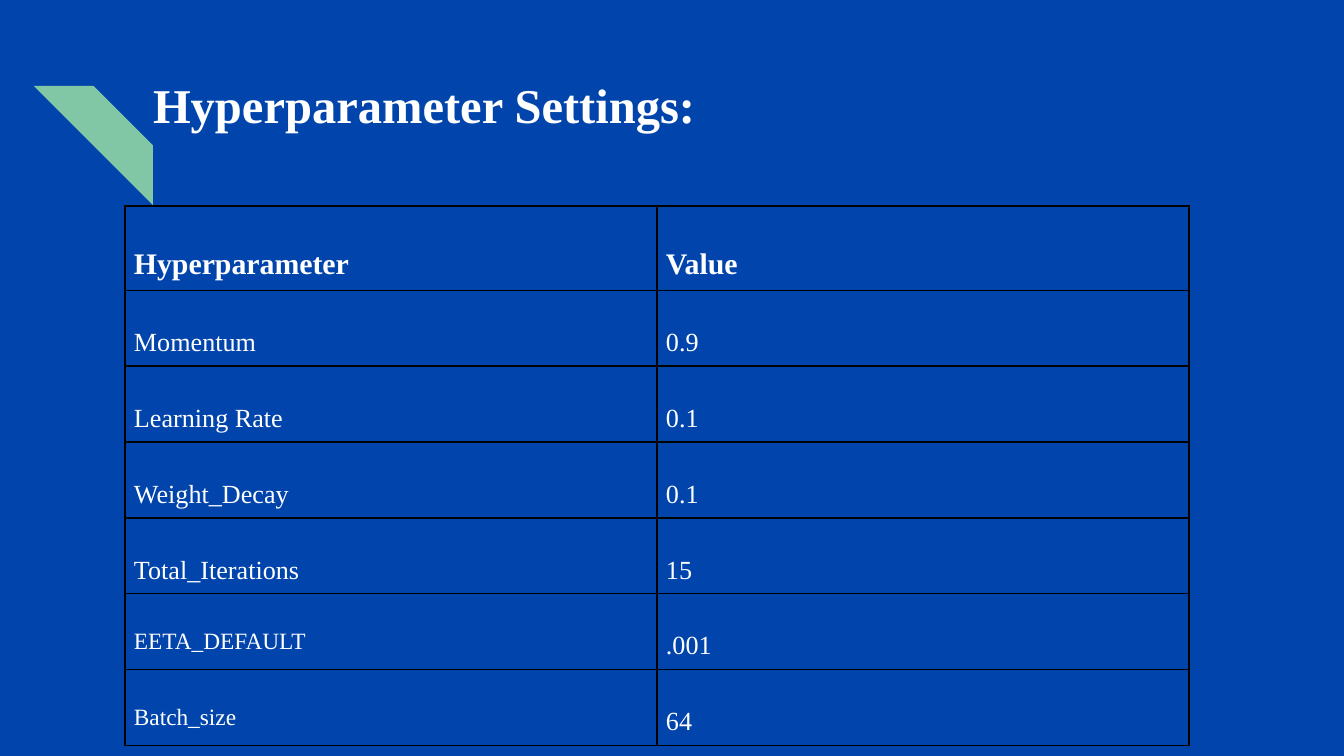
from dataclasses import dataclass

from lxml import etree
from pptx import Presentation
from pptx import util as u
from pptx.dml.color import RGBColor
from pptx.enum import shapes, text
from pptx.oxml.ns import qn

PX = u.Inches(10) / 1344


@dataclass(frozen=True)
class Theme:
    font: str = "Times New Roman"
    background: str = "0145AC"
    accent: str = "82C7A5"
    ink: str = "FFFFFF"
    border: str = "000000"
    title: float = 26
    header: float = 16
    body: float = 14
    small: float = 12.5


THEME = Theme()
SETTINGS = [
    ("Hyperparameter", "Value"),
    ("Momentum", "0.9"),
    ("Learning Rate", "0.1"),
    ("Weight_Decay", "0.1"),
    ("Total_Iterations", "15"),
    ("EETA_DEFAULT", ".001"),
    ("Batch_size", "64"),
]
SMALL_LABELS = {"EETA_DEFAULT", "Batch_size"}


def px(length):
    return u.Emu(round(length * PX))


def apply(target, values):
    for name, value in values.items():
        setattr(target, name, value)


def paint(fill, color):
    fill.solid()
    fill.fore_color.rgb = RGBColor.from_string(color)


def margins(size):
    sides = ("left", "top", "right", "bottom")
    return {f"margin_{side}": px(size) for side in sides}


def write(para, words, size, bold=False):
    span = para.add_run()
    span.text = words
    apply(span.font, {"name": THEME.font, "size": u.Pt(size), "bold": bold})
    span.font.color.rgb = RGBColor.from_string(THEME.ink)


def place(box, left, top, width, height):
    apply(box, {"left": px(left), "top": px(top),
                "width": px(width), "height": px(height)})


def add_title(page, words):
    title = page.shapes.title
    place(title, 140, 62, 1035, 134)
    frame = title.text_frame
    apply(frame, {"word_wrap": True, "vertical_anchor": text.MSO_ANCHOR.TOP,
                  "auto_size": text.MSO_AUTO_SIZE.NONE, **margins(13)})
    para = frame.paragraphs[0]
    para.alignment = text.PP_ALIGN.LEFT
    write(para, words, THEME.title, bold=True)


def add_stripe(page, left, top, side):
    stripe = page.shapes.add_shape(shapes.MSO_SHAPE.DIAGONAL_STRIPE,
                                   px(left), px(top), px(side), px(side))
    stripe.shadow.inherit = False
    stripe.adjustments[0] = 0.5
    stripe.element.spPr.xfrm.set("flipH", "1")
    paint(stripe.fill, THEME.accent)
    stripe.line.fill.background()


def add_borders(cell):
    properties = cell._tc.get_or_add_tcPr()
    for position, side in enumerate(("lnL", "lnR", "lnT", "lnB")):
        line = etree.Element(qn(f"a:{side}"), w=str(u.Pt(1)))
        fill = etree.SubElement(line, qn("a:solidFill"))
        etree.SubElement(fill, qn("a:srgbClr"), val=THEME.border)
        properties.insert(position, line)


def fill_cell(cell, words, size, bold):
    apply(cell, margins(9))
    cell.fill.background()
    add_borders(cell)
    para = cell.text_frame.paragraphs[0]
    para.line_spacing = 2.0
    write(para, words, size, bold)


def add_settings(page, left, top, column_width, row_height):
    rows, columns = len(SETTINGS), len(SETTINGS[0])
    table = page.shapes.add_table(
        rows, columns, px(left), px(top),
        px(columns * column_width), px(rows * row_height)).table
    apply(table, {"first_row": False, "horz_banding": False})
    for r, record in enumerate(SETTINGS):
        for c, words in enumerate(record):
            size = THEME.small if words in SMALL_LABELS else THEME.body
            fill_cell(table.cell(r, c), words,
                      size if r else THEME.header, bold=r == 0)


def main():
    deck = Presentation()
    apply(deck, {"slide_width": px(1344), "slide_height": px(756)})
    page = deck.slides.add_slide(deck.slide_layouts[5])
    paint(page.background.fill, THEME.background)
    add_stripe(page, 34, 86, 119)
    add_title(page, "Hyperparameter Settings:")
    add_settings(page, 125, 206, 532, 57)
    deck.save("out.pptx")


if __name__ == "__main__":
    main()
